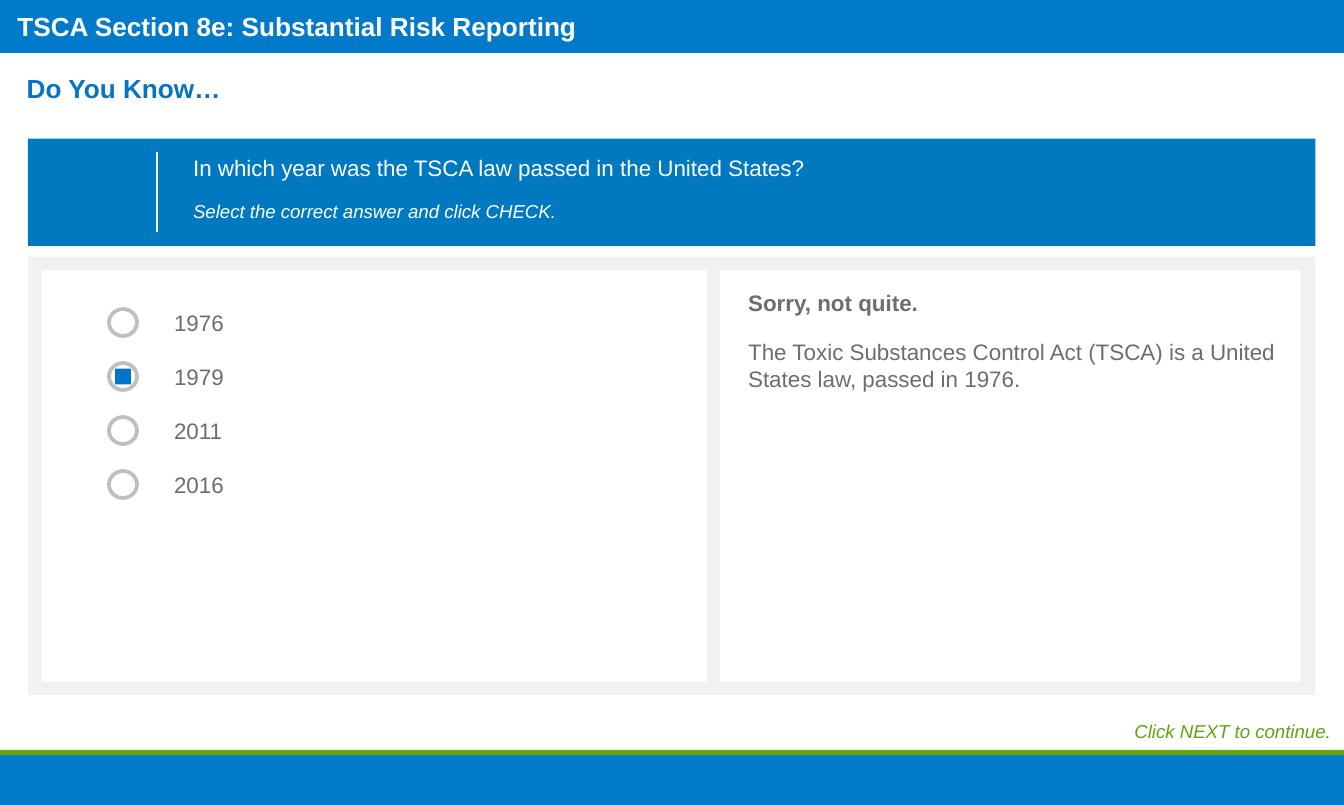
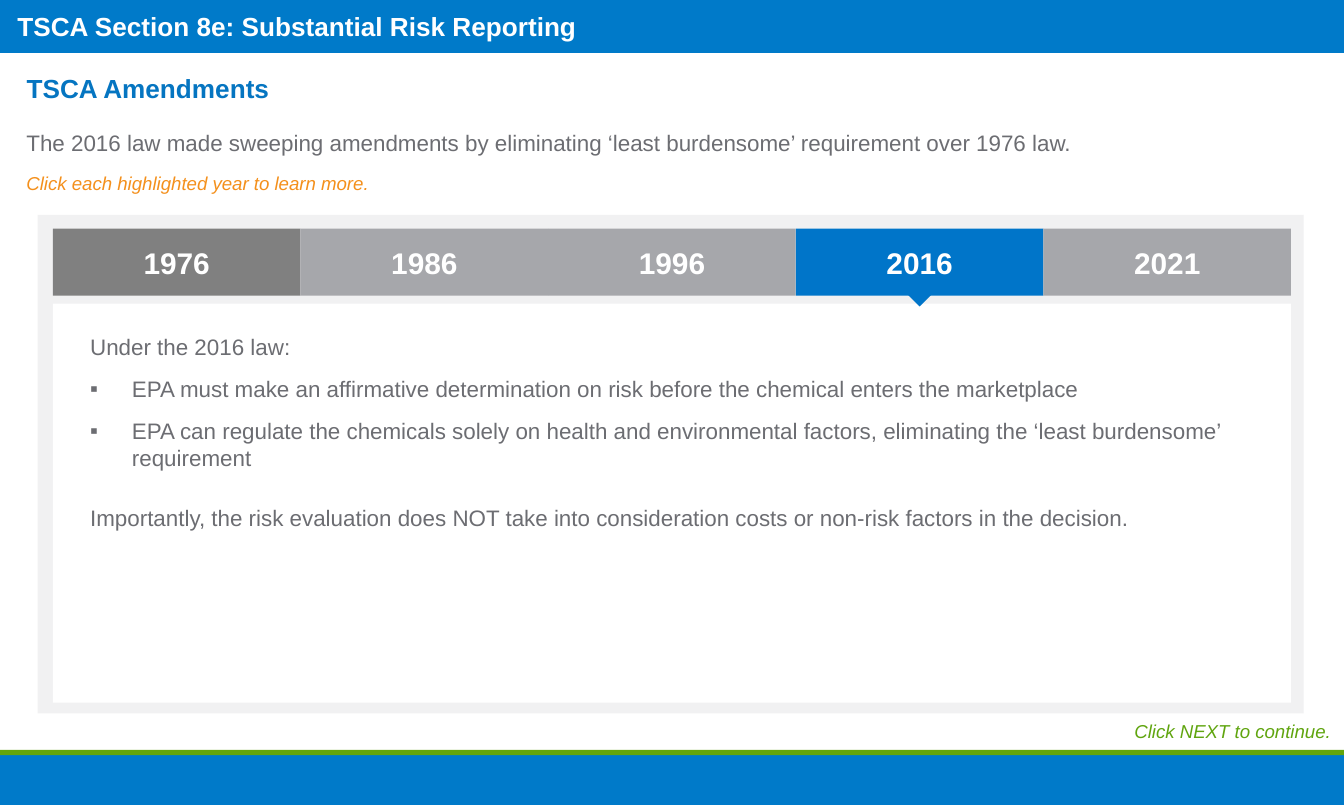
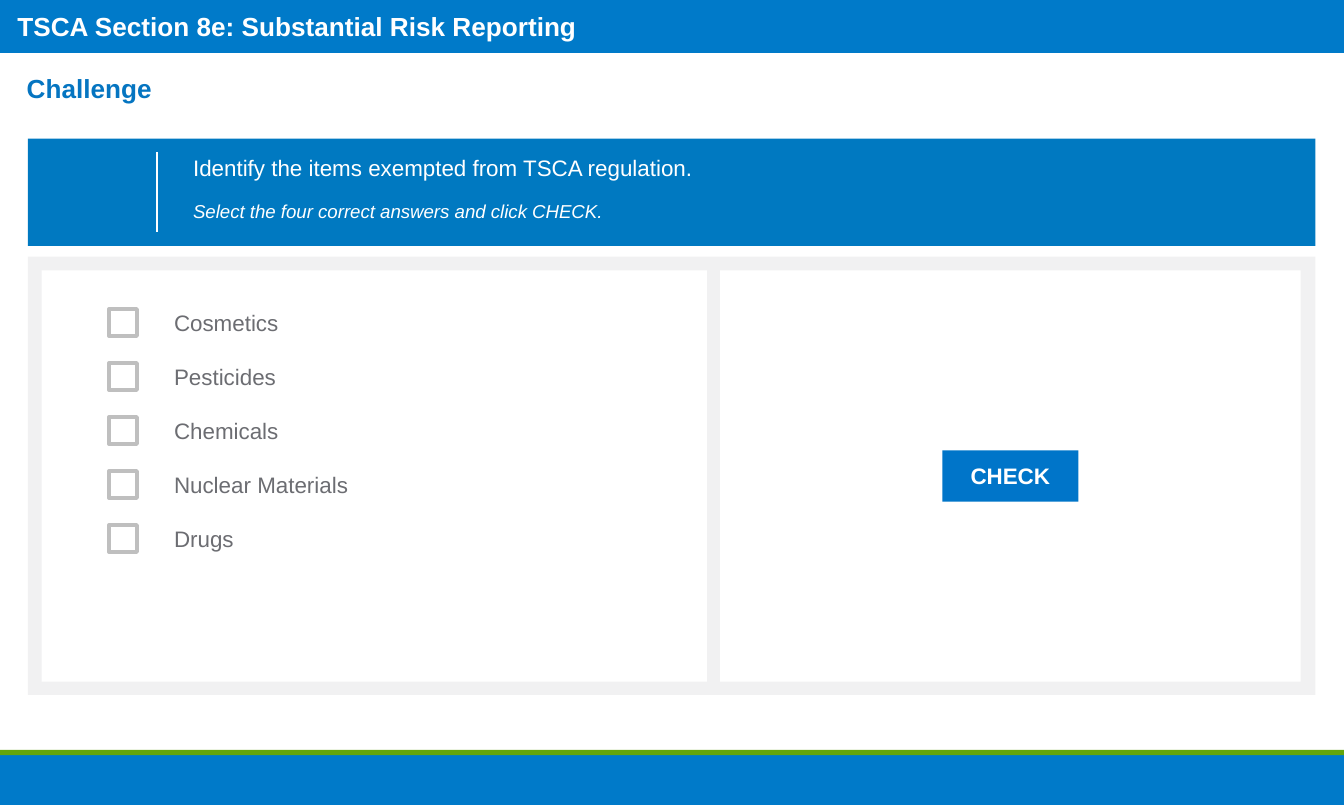
from dataclasses import dataclass

from lxml.etree import SubElement
from pptx import Presentation
from pptx.dml.color import RGBColor as RGB
from pptx.enum.shapes import MSO_CONNECTOR as Connector, MSO_SHAPE as Shape
from pptx.enum.text import MSO_ANCHOR as Anchor, MSO_AUTO_SIZE as AutoSize, PP_ALIGN as Align
from pptx.oxml.ns import qn
from pptx.util import Cm, Pt


@dataclass(frozen=True)
class Style:
    size: int
    color: str
    bold: bool = False
    italic: bool = False


class Theme:
    font = "Arial"
    white = "FFFFFF"
    band = "007AC9"
    stripe = "63A50B"
    banner = "0079C1"
    accent = "0075C9"
    frame = "F1F1F2"
    tab = "A6A7AB"
    visited_tab = "808080"
    control = "BFBFBF"

    course = Style(14, white, bold=True)
    title = Style(14, "0575C1", bold=True)
    question = Style(12, white)
    instruction = Style(10, white, italic=True)
    body = Style(12, "6C6D72")
    verdict = Style(12, "6C6D72", bold=True)
    hint = Style(10, "F4901C", italic=True)
    next_hint = Style(10, "60A50F", italic=True)
    tab_label = Style(16, white, bold=True)
    button = Style(12, white, bold=True)


TITLE_AND_BODY, TITLE_ONLY = 1, 5
BULLET_INDENT = Cm(0.79)


def area(*lengths):
    return [Cm(length) for length in lengths]


def place(shape, *lengths):
    shape.left, shape.top, shape.width, shape.height = area(*lengths)


def style_para(para, style, align=Align.LEFT, before=0, after=0):
    para.alignment = align
    para.space_before, para.space_after = Pt(before), Pt(after)
    font = para.font
    font.name, font.size = Theme.font, Pt(style.size)
    font.bold, font.italic = style.bold, style.italic
    font.color.rgb = RGB.from_string(style.color)


def set_bullet(para, char=None):
    properties = para._p.get_or_add_pPr()
    indent = BULLET_INDENT if char else 0
    properties.set("marL", str(indent))
    properties.set("indent", str(-indent))
    if char:
        SubElement(properties, qn("a:buChar")).set("char", char)
    else:
        SubElement(properties, qn("a:buNone"))


def write_lines(frame, lines, align=Align.LEFT, before=0, after=0):
    for index, (text, style) in enumerate(lines):
        para = frame.add_paragraph() if index else frame.paragraphs[0]
        para.text = text
        style_para(para, style, align, before if index else 0, after)


def add_text(page, place_at, lines, anchor=Anchor.TOP, **spacing):
    box = page.shapes.add_textbox(*area(*place_at))
    box.text_frame.word_wrap = True
    box.text_frame.vertical_anchor = anchor
    write_lines(box.text_frame, lines, **spacing)
    return box


def add_block(page, place_at, fill, kind=Shape.RECTANGLE, outline=None, label=None):
    block = page.shapes.add_shape(kind, *area(*place_at))
    block.shadow.inherit = False
    block.fill.solid()
    block.fill.fore_color.rgb = RGB.from_string(fill)
    if outline:
        block.line.color.rgb = RGB.from_string(outline)
        block.line.width = Pt(2)
    else:
        block.line.fill.background()
    if label:
        block.text_frame.vertical_anchor = Anchor.MIDDLE
        write_lines(block.text_frame, [label], Align.CENTER)
    return block


def add_divider(page, x, top, bottom):
    divider = page.shapes.add_connector(Connector.STRAIGHT, *area(x, top, x, bottom))
    divider.line.color.rgb = RGB.from_string(Theme.white)
    divider.line.width = Pt(0.75)
    SubElement(divider.element.spPr, qn("a:effectLst"))


def add_master_bands(deck, page):
    course = [("TSCA Section 8e: Substantial Risk Reporting", Theme.course)]
    bands = [
        add_block(page, (0, 14.2, 25.4, 1.02), Theme.band),
        add_block(page, (0, 14.17, 25.4, 0.1), Theme.stripe),
        add_block(page, (0, -0.02, 25.4, 1.02), Theme.band),
        add_text(page, (0.08, 0.03, 16.84, 0.94), course, Anchor.MIDDLE),
    ]
    for number, band in enumerate(bands, 20):
        band.element.nvSpPr.cNvPr.set("id", str(number))
        deck.slide_master.shapes.element.append(band.element)


def add_page(deck, title, layout=TITLE_ONLY):
    page = deck.slides.add_slide(deck.slide_layouts[layout])
    heading = page.shapes.title
    place(heading, 0.25, 1.24, 24.89, 0.86)
    frame = heading.text_frame
    frame.auto_size = AutoSize.NONE
    frame.vertical_anchor = Anchor.MIDDLE
    write_lines(frame, [(title, Theme.title)])
    return page


def add_question(page, question, instruction):
    add_block(page, (0.53, 2.62, 24.33, 2.03), Theme.banner)
    lines = [(question, Theme.question), (instruction, Theme.instruction)]
    add_text(page, (3.4, 2.79, 17.22, 1.57), lines, before=6, after=4)
    add_divider(page, 2.97, 2.87, 4.39)
    add_block(page, (0.53, 4.85, 24.33, 8.28), Theme.frame)
    add_block(page, (0.79, 5.11, 12.57, 7.77), Theme.white)
    add_block(page, (13.61, 5.11, 10.97, 7.77), Theme.white)


def add_options(page, options, control, chosen=None):
    left, first_top, width, height, pitch = 2.06, 5.84, 0.53, 0.51, 1.02
    mark = 0.3
    for index, option in enumerate(options):
        top = first_top + index * pitch
        add_block(page, (left, top, width, height), Theme.white, control, Theme.control)
        if option == chosen:
            mark_at = (left + (width - mark) / 2, top + (height - mark) / 2, mark, mark)
            add_block(page, mark_at, Theme.accent)
        add_text(page, (3.04, top - 0.12, 7.87, 0.76), [(option, Theme.body)])


def add_next_hint(page):
    lines = [("Click NEXT to continue.", Theme.next_hint)]
    add_text(page, (13.79, 13.46, 11.61, 0.69), lines, Anchor.MIDDLE, align=Align.RIGHT)


def add_year_tabs(page, years, visited, current):
    left, top, width, height = 1.0, 4.32, 4.68, 1.27
    fills = {visited: Theme.visited_tab, current: Theme.accent}
    for index, year in enumerate(years):
        tab_at = (left + index * width, top, width, height)
        add_block(page, tab_at, fills.get(year, Theme.tab), label=(year, Theme.tab_label))
    center = left + (years.index(current) + 0.5) * width
    pointer_at = (center - 0.25, top + 1.22, 0.5, 0.25)
    pointer = add_block(page, pointer_at, Theme.accent, Shape.ISOSCELES_TRIANGLE)
    pointer.rotation = 180


def fill_body(page, lead, bullets, closing):
    body = page.placeholders[1]
    place(body, 1.45, 6.17, 22.43, 4.04)
    page.shapes.element.append(body.element)
    frame = body.text_frame
    frame.auto_size = AutoSize.NONE
    rows = [(lead, None, 0, 4)]
    rows += [(bullet, "▪", 4, 4) for bullet in bullets]
    rows.append((closing, None, 14, 0))
    for index, (text, char, before, after) in enumerate(rows):
        para = frame.add_paragraph() if index else frame.paragraphs[0]
        para.text = text
        set_bullet(para, char)
        style_para(para, Theme.body, before=before, after=after)


def build_year_quiz(deck):
    page = add_page(deck, "Do You Know…")
    add_master_bands(deck, page)
    add_question(
        page,
        "In which year was the TSCA law passed in the United States?",
        "Select the correct answer and click CHECK.",
    )
    add_options(page, ["1976", "1979", "2011", "2016"], Shape.OVAL, chosen="1979")
    feedback = [
        ("Sorry, not quite.", Theme.verdict),
        ("The Toxic Substances Control Act (TSCA) is a United States law, passed in 1976.", Theme.body),
    ]
    box = add_text(page, (13.89, 5.21, 10.69, 2.49), feedback, before=6, after=6)
    box.text_frame.margin_top = box.text_frame.margin_bottom = Cm(0.25)
    add_next_hint(page)


def build_amendments(deck):
    page = add_page(deck, "TSCA Amendments", TITLE_AND_BODY)
    intro = "The 2016 law made sweeping amendments by eliminating ‘least burdensome’ requirement over 1976 law."
    add_text(page, (0.25, 2.31, 24.31, 0.76), [(intro, Theme.body)])
    hint = "Click each highlighted year to learn more."
    add_text(page, (0.25, 3.12, 21.77, 0.69), [(hint, Theme.hint)])
    add_block(page, (0.71, 4.06, 23.93, 9.42), Theme.frame)
    add_block(page, (1.0, 5.74, 23.4, 7.54), Theme.white)
    add_year_tabs(page, ["1976", "1986", "1996", "2016", "2021"], visited="1976", current="2016")
    fill_body(
        page,
        "Under the 2016 law:",
        [
            "EPA must make an affirmative determination on risk before the chemical enters the marketplace",
            "EPA can regulate the chemicals solely on health and environmental factors, "
            "eliminating the ‘least burdensome’ requirement",
        ],
        "Importantly, the risk evaluation does NOT take into consideration costs "
        "or non-risk factors in the decision.",
    )
    add_next_hint(page)


def build_exemption_quiz(deck):
    page = add_page(deck, "Challenge")
    add_question(
        page,
        "Identify the items exempted from TSCA regulation.",
        "Select the four correct answers and click CHECK.",
    )
    items = ["Cosmetics", "Pesticides", "Chemicals", "Nuclear Materials", "Drugs"]
    add_options(page, items, Shape.RECTANGLE)
    add_block(page, (17.81, 8.51, 2.57, 0.97), Theme.accent, label=("CHECK", Theme.button))


def main():
    deck = Presentation()
    deck.slide_width, deck.slide_height = area(25.4, 15.21)
    build_year_quiz(deck)
    build_amendments(deck)
    build_exemption_quiz(deck)
    deck.save("out.pptx")


if __name__ == "__main__":
    main()
